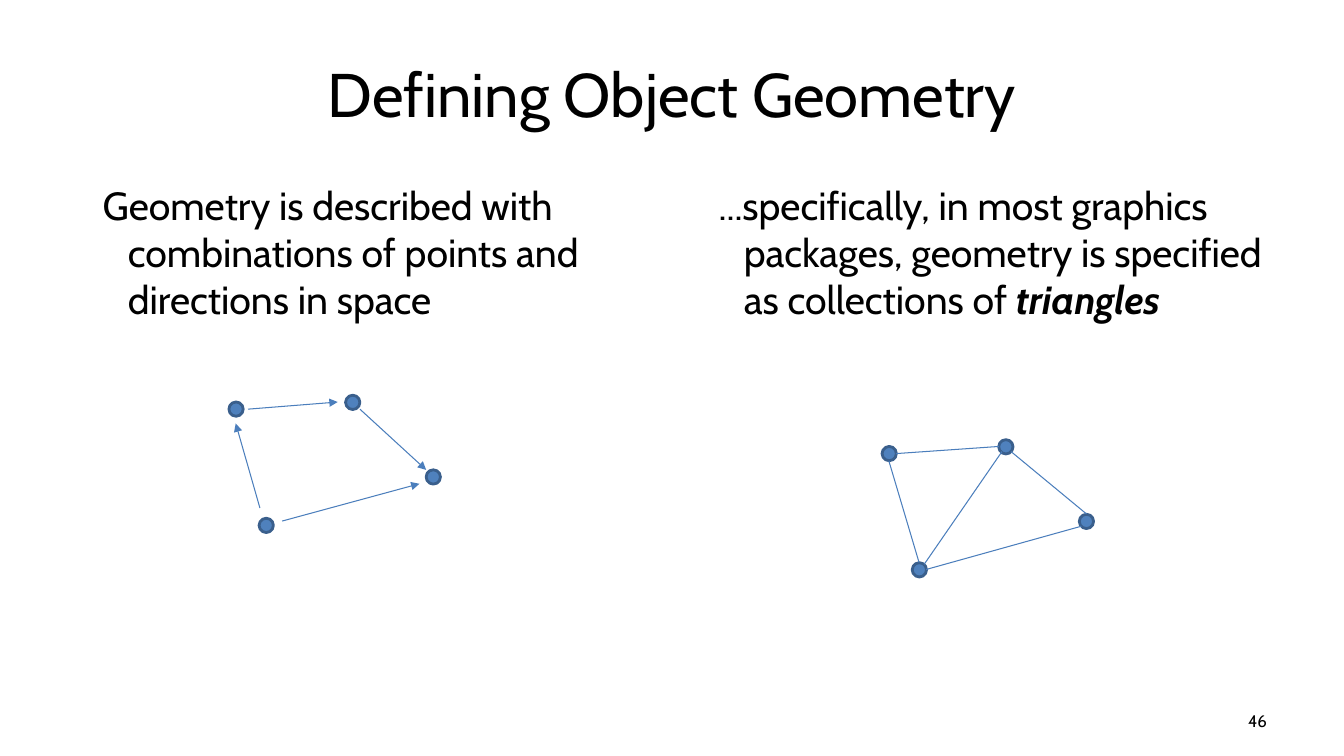
from lxml import etree
from pptx import Presentation
from pptx.dml.color import RGBColor
from pptx.enum.shapes import MSO_CONNECTOR, MSO_SHAPE
from pptx.enum.text import MSO_ANCHOR, MSO_AUTO_SIZE, PP_ALIGN
from pptx.oxml.ns import qn
from pptx.util import Cm, Pt

STRAIGHT = MSO_CONNECTOR.STRAIGHT
OVAL = MSO_SHAPE.OVAL
TOP, MIDDLE = MSO_ANCHOR.TOP, MSO_ANCHOR.MIDDLE
LEFT, CENTER, RIGHT = PP_ALIGN.LEFT, PP_ALIGN.CENTER, PP_ALIGN.RIGHT
NO_FIT = MSO_AUTO_SIZE.NONE


def color(hex_string):
    return RGBColor.from_string(hex_string)


def set_text(box, place, parts, size, align, anchor):
    box.left, box.top, box.width, box.height = [Cm(length) for length in place]
    frame = box.text_frame
    frame.word_wrap = True
    frame.auto_size = NO_FIT
    frame.vertical_anchor = anchor
    paragraph = frame.paragraphs[0]
    paragraph.alignment = align
    paragraph.space_before = Pt(0)
    for part in parts:
        run = paragraph.add_run()
        run.text = part
        run.font.name = "Cabin"
        run.font.size = Pt(size)
        run.font.color.rgb = color("000000")
    return paragraph


prs = Presentation()
prs.slide_width, prs.slide_height = Cm(33.87), Cm(19.05)
slide = prs.slides.add_slide(prs.slide_layouts[3])

set_text(slide.shapes.title, (1.7, 0.76, 30.48, 3.18),
         ["Defining Object Geometry"], 44, CENTER, MIDDLE)

statements = [
    (1, 1.7, ["Geometry is described with combinations of points and directions in space"]),
    (2, 17.22, ["...specifically, in most graphics packages, geometry is specified "
                "as collections of ", "triangles"]),
]
for index, left, parts in statements:
    statement = set_text(slide.placeholders[index], (left, 4.45, 14.96, 12.57),
                         parts, 28, LEFT, TOP)
    properties = statement._p.get_or_add_pPr()
    properties.set("marL", str(Cm(1.27)))
    properties.set("indent", str(Cm(-0.635)))
    etree.SubElement(properties, qn("a:buNone"))
    for emphasis in statement.runs[1:]:
        emphasis.font.bold = True
        emphasis.font.italic = True

page_number = slide.shapes.add_textbox(0, 0, 0, 0)
set_text(page_number, (24.28, 17.65, 7.9, 1.02), ["46"], 12, RIGHT, MIDDLE)

POINT_SIZE = 0.36
points = [(5.77, 10.13), (10.74, 11.84), (6.53, 13.06), (8.71, 9.96)]
directions = [
    (9.07, 10.31, 10.74, 11.84),
    (6.25, 10.31, 8.51, 10.13),
    (7.11, 13.13, 10.57, 12.19),
    (6.55, 12.8, 5.94, 10.67),
]
triangle_edges = [
    (22.58, 11.43, 25.17, 11.25),
    (22.4, 11.61, 23.16, 14.17),
    (25.48, 11.38, 27.38, 12.95),
    (23.34, 14.35, 27.25, 13.26),
    (23.29, 14.22, 25.25, 11.38),
]
diagrams = [(0, 0, directions, True), (16.46, 1.12, triangle_edges, False)]

for shift_x, shift_y, segments, has_arrows in diagrams:
    diagram = slide.shapes.add_group_shape().shapes
    for x, y in points:
        point = diagram.add_shape(OVAL, Cm(x + shift_x), Cm(y + shift_y),
                                  Cm(POINT_SIZE), Cm(POINT_SIZE))
        point.shadow.inherit = False
        point.fill.solid()
        point.fill.fore_color.rgb = color("4F81BD")
        point.line.color.rgb = color("3A5F8C")
        point.line.width = Pt(2)
    for segment in segments:
        edge = diagram.add_connector(STRAIGHT, *[Cm(length) for length in segment])
        edge.line.color.rgb = color("4B7EBC")
        edge.line.width = Pt(0.75)
        if has_arrows:
            etree.SubElement(edge.line._get_or_add_ln(), qn("a:tailEnd"), type="triangle")
        etree.SubElement(edge._element.spPr, qn("a:effectLst"))

prs.save("out.pptx")
